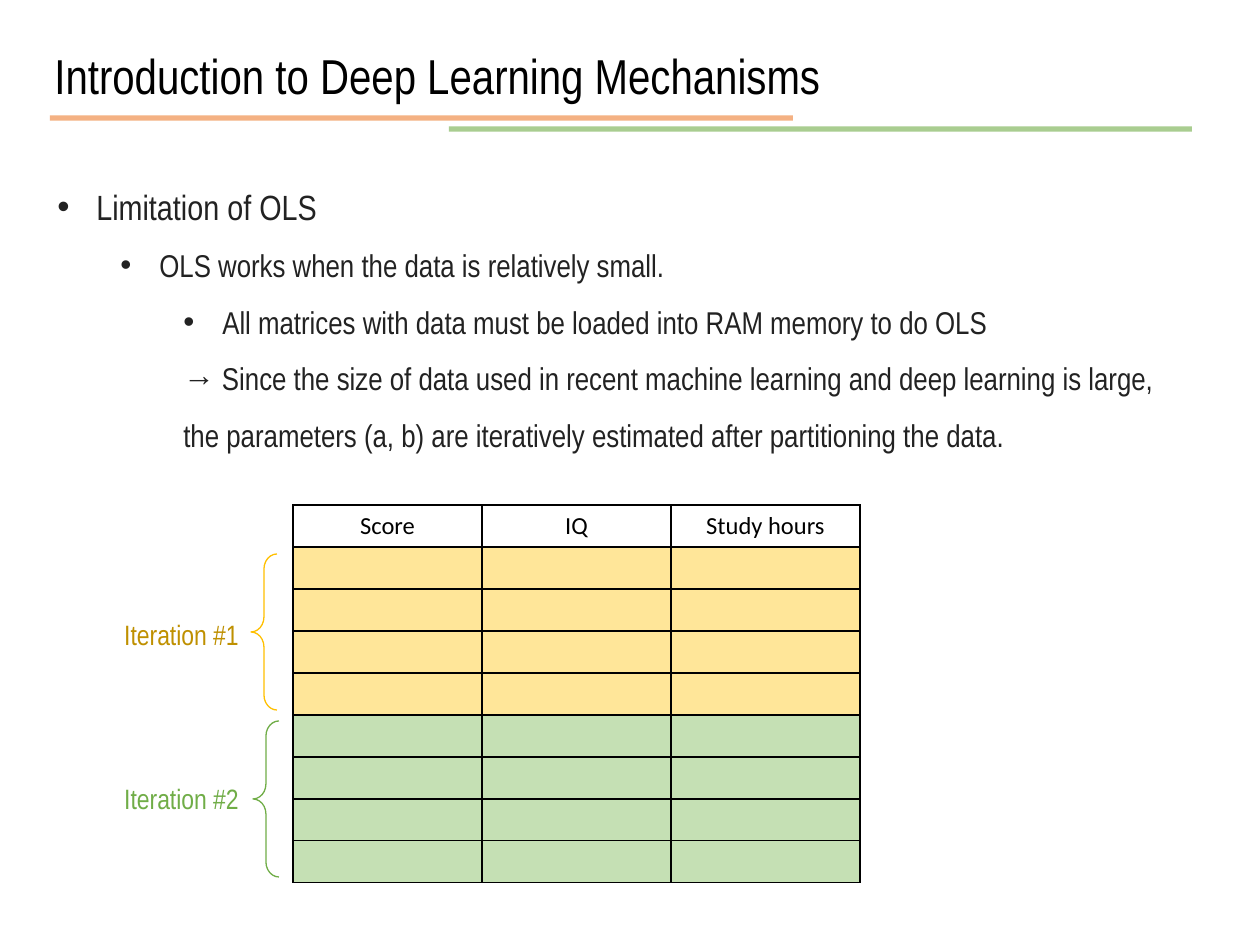
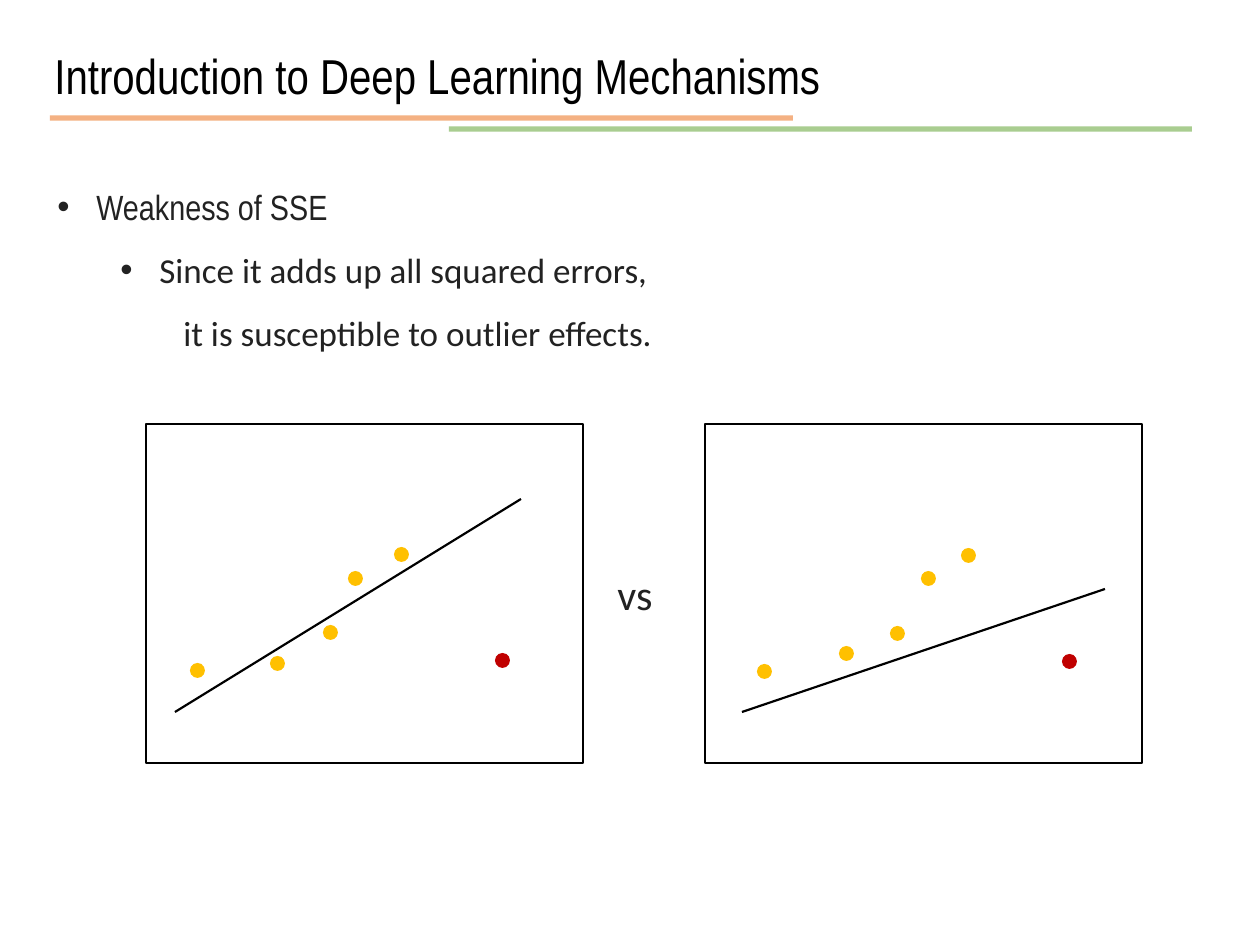
from lxml import etree
from pptx import Presentation
from pptx.dml.color import RGBColor
from pptx.enum.shapes import MSO_CONNECTOR, MSO_SHAPE
from pptx.enum.text import MSO_ANCHOR, MSO_AUTO_SIZE, PP_ALIGN
from pptx.oxml.ns import qn
from pptx.util import Pt

PX = 914400 / 126  # EMU in one px
BLANK = 6
STRAIGHT = MSO_CONNECTOR.STRAIGHT
RECT, OVAL, BRACE = MSO_SHAPE.RECTANGLE, MSO_SHAPE.OVAL, MSO_SHAPE.LEFT_BRACE
LEFT, CENTER = PP_ALIGN.LEFT, PP_ALIGN.CENTER

NARROW, PLAIN = "Arial Narrow", "Calibri"
BLACK, INK = "000000", "222222"
ORANGE, GREEN, GOLD, RED = "ED7D31", "70AD47", "FFC000", "C00000"
DARK_GOLD, PALE_GOLD, PALE_GREEN = "BF9000", "FFE699", "C5E0B4"

BODY_BOX = (45, 158, 1135)
BULLET_HANG = 39
DOT = 15


def px(*lengths):
    return [round(length * PX) for length in lengths]


def rgb(hex_string):
    return RGBColor.from_string(hex_string)


def add_xml(parent, tag, **attributes):
    return etree.SubElement(parent, qn(tag), attributes)


# Basic parts

def style(paragraph, size, font, color):
    for run in paragraph.runs:
        run.font.size = Pt(size)
        run.font.name = font
        run.font.color.rgb = rgb(color)


def add_text_box(slide, box, wrap=True):
    frame = slide.shapes.add_textbox(*px(*box)).text_frame
    frame.word_wrap = wrap
    frame.auto_size = MSO_AUTO_SIZE.SHAPE_TO_FIT_TEXT
    return frame


def add_label(slide, box, text, size, font, color, align=LEFT, spacing=None, wrap=True):
    frame = add_text_box(slide, box, wrap)
    frame.text = text
    paragraph = frame.paragraphs[0]
    paragraph.alignment = align
    paragraph.line_spacing = spacing
    style(paragraph, size, font, color)


def add_line(slide, start, end, color, width, opacity=None):
    line = slide.shapes.add_connector(STRAIGHT, *px(*start, *end))
    line.line.color.rgb = rgb(color)
    line.line.width = Pt(width)
    properties = line._element.spPr
    add_xml(properties, "a:effectLst")
    if opacity:
        tint = properties.find(".//" + qn("a:srgbClr"))
        add_xml(tint, "a:alpha", val=str(opacity * 1000))


def add_figure(slide, kind, box, fill=None, outline=None, width=1):
    figure = slide.shapes.add_shape(kind, *px(*box))
    figure.shadow.inherit = False
    if fill:
        figure.fill.solid()
        figure.fill.fore_color.rgb = rgb(fill)
    else:
        figure.fill.background()
    if outline:
        figure.line.color.rgb = rgb(outline)
        figure.line.width = Pt(width)
    else:
        figure.line.fill.background()
    return figure


# Title and the two rules under it, the same on each slide

def add_topic_slide(deck):
    slide = deck.slides.add_slide(deck.slide_layouts[BLANK])
    add_line(slide, (50, 118), (793, 118), ORANGE, 3, 60)
    add_line(slide, (449, 129), (1192, 129), GREEN, 3, 60)
    add_label(slide, (42, 10, 1177, 91), "Introduction to Deep Learning Mechanisms",
              28, NARROW, BLACK, spacing=1.5)
    return slide


# Outline: rows of (text, level, left margin, bulleted, size, font)

def add_outline(slide, height, rows):
    frame = add_text_box(slide, (*BODY_BOX, height))
    for index, (text, level, margin, bulleted, size, font) in enumerate(rows):
        paragraph = frame.add_paragraph() if index else frame.paragraphs[0]
        paragraph.text = text
        paragraph.level = level
        paragraph.line_spacing = 1.5
        style(paragraph, size, font, INK)
        properties = paragraph._p.get_or_add_pPr()
        left, hang = px(margin, -BULLET_HANG if bulleted else 0)
        properties.set("marL", str(left))
        properties.set("indent", str(hang))
        if bulleted:
            add_xml(properties, "a:buFont", typeface="Arial")
            add_xml(properties, "a:buChar", char="•")
        else:
            add_xml(properties, "a:buNone")


# Data table, split in batches of rows

def add_cell_borders(cell):
    properties = cell._tc.get_or_add_tcPr()
    for index, side in enumerate(("a:lnL", "a:lnR", "a:lnT", "a:lnB")):
        border = add_xml(properties, side, w=str(Pt(1)))
        add_xml(add_xml(border, "a:solidFill"), "a:srgbClr", val=BLACK)
        properties.insert(index, border)


def add_data_table(slide, box, headings, row_fills):
    rows, columns = len(row_fills) + 1, len(headings)
    table = slide.shapes.add_table(rows, columns, *px(*box)).table
    table.first_row = table.horz_banding = False
    for row, fill in enumerate([None, *row_fills]):
        for column, heading in enumerate(headings):
            cell = table.cell(row, column)
            cell.vertical_anchor = MSO_ANCHOR.MIDDLE
            cell.margin_top, cell.margin_bottom = px(5, 5)
            paragraph = cell.text_frame.paragraphs[0]
            if fill:
                cell.fill.solid()
                cell.fill.fore_color.rgb = rgb(fill)
                add_xml(paragraph._p, "a:endParaRPr", sz="1400")
            else:
                cell.fill.background()
                paragraph.text = heading
                paragraph.alignment = CENTER
                style(paragraph, 14, PLAIN, BLACK)
            add_cell_borders(cell)


def add_iteration(slide, box, label_top, text, text_color, brace_color):
    add_label(slide, (102, label_top, 159, 47), text, 16, NARROW, text_color, CENTER)
    brace = add_figure(slide, BRACE, box, outline=brace_color, width=0.75)
    brace.adjustments[0] = 0.58


# Scatter panel: fitted line, usual points and one outlier

def add_scatter_panel(slide, box, fit, points, outlier):
    left, top = box[:2]
    add_figure(slide, RECT, box, outline=BLACK)
    start, end = [(left + x, top + y) for x, y in fit]
    add_line(slide, start, end, BLACK, 1.25)
    for x, y in [*points, outlier]:
        color = RED if (x, y) == outlier else GOLD
        add_figure(slide, OVAL, (left + x, top + y, DOT, DOT), fill=color)


def build_ols_slide(deck):
    slide = add_topic_slide(deck)
    add_outline(slide, 360, [
        ("Limitation of OLS", 0, 39, True, 20, NARROW),
        ("OLS works when the data is relatively small.", 1, 102, True, 18, NARROW),
        ("All matrices with data must be loaded into RAM memory to do OLS",
         2, 165, True, 18, NARROW),
        ("→ Since the size of data used in recent machine learning and deep learning is "
         "large, the parameters (a, b) are iteratively estimated after partitioning the data.",
         2, 126, False, 18, NARROW),
    ])
    add_data_table(slide, (293, 505, 567, 378), ["Score", "IQ", "Study hours"],
                   [PALE_GOLD] * 4 + [PALE_GREEN] * 4)
    add_iteration(slide, (251, 554, 26, 156), 611, "Iteration #1", DARK_GOLD, GOLD)
    add_iteration(slide, (253, 721, 26, 156), 775, "Iteration #2", GREEN, GREEN)


def build_sse_slide(deck):
    slide = add_topic_slide(deck)
    add_outline(slide, 267, [
        ("Weakness of SSE", 0, 39, True, 20, NARROW),
        ("Since it adds up all squared errors,", 1, 102, True, 20, PLAIN),
        ("it is susceptible to outlier effects.", 2, 126, False, 20, PLAIN),
    ])
    add_scatter_panel(slide, (146, 424, 437, 339), [(29, 288), (375, 75)],
                      [(44, 239), (124, 232), (177, 201), (202, 147), (248, 123)],
                      (349, 229))
    add_label(slide, (605, 562, 60, 63), "vs", 24, PLAIN, INK, wrap=False)
    add_scatter_panel(slide, (705, 424, 437, 339), [(37, 288), (400, 165)],
                      [(52, 240), (134, 222), (185, 202), (216, 147), (256, 124)],
                      (357, 230))


def main():
    deck = Presentation()
    deck.slide_width, deck.slide_height = px(1260, 945)
    build_ols_slide(deck)
    build_sse_slide(deck)
    deck.save("out.pptx")


if __name__ == "__main__":
    main()
